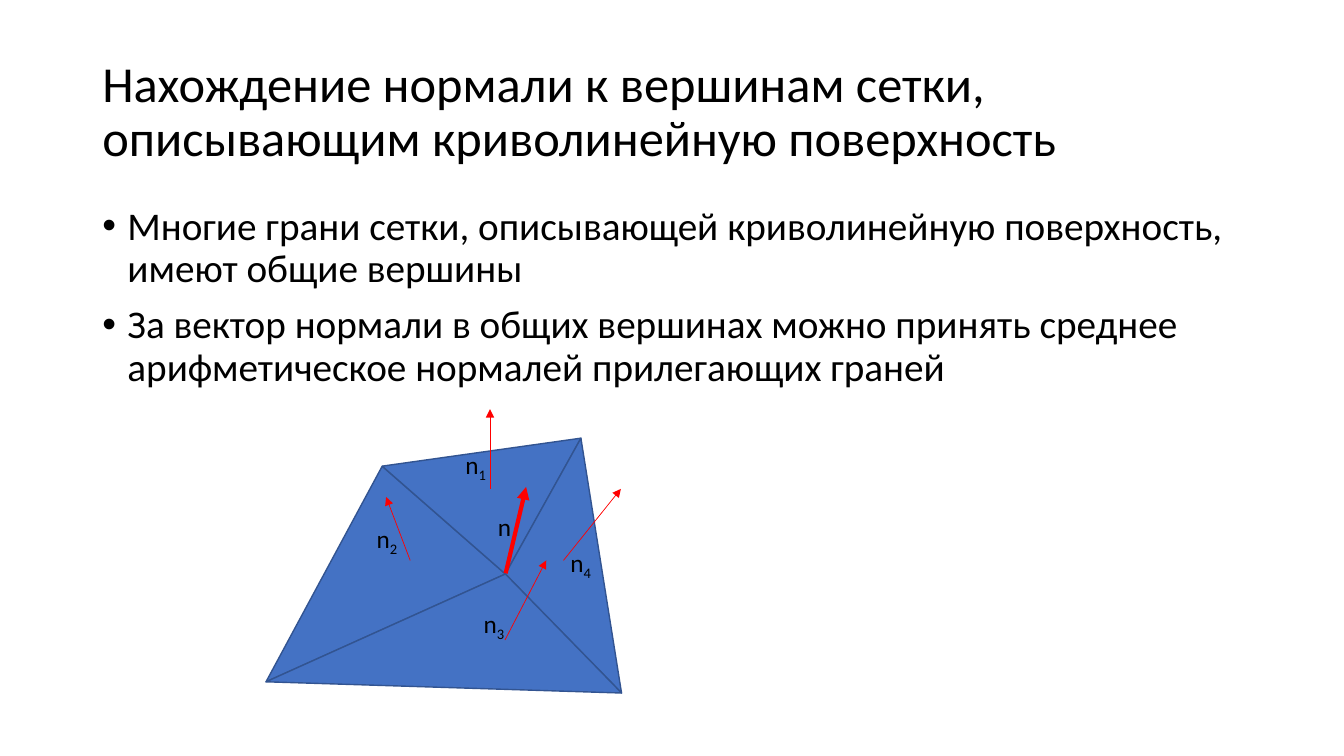
"""Build a slide on finding normals at the vertices of a curved mesh."""
import pptx
import pptx.util
import pptx.dml.color
import pptx.enum.shapes
import pptx.enum.text
import pptx.oxml.ns
import lxml.etree

Pt = pptx.util.Pt
qn = pptx.oxml.ns.qn
BLACK = pptx.dml.color.RGBColor(0x00, 0x00, 0x00)
BLUE = pptx.dml.color.RGBColor(0x44, 0x72, 0xC4)
NAVY = pptx.dml.color.RGBColor(0x32, 0x54, 0x91)
RED = pptx.dml.color.RGBColor(0xFF, 0x00, 0x00)


def add_text(left, top, width, height, lines, size, wrap=True):
    box = slide.shapes.add_textbox(Pt(left), Pt(top), Pt(width), Pt(height))
    frame = box.text_frame
    frame.word_wrap = wrap
    frame.text = "\n".join(lines)
    for para in frame.paragraphs:
        for run in para.runs:
            run.font.name = "Calibri"
            run.font.size = Pt(size)
            run.font.color.rgb = BLACK
    return frame


deck = pptx.Presentation()
deck.slide_width = Pt(960)
deck.slide_height = Pt(540)
slide = deck.slides.add_slide(deck.slide_layouts[6])

title = add_text(66, 28.75, 828, 104.4, [
    "Нахождение нормали к вершинам сетки, описывающим криволинейную поверхность",
], 36)
title.vertical_anchor = pptx.enum.text.MSO_ANCHOR.MIDDLE
title.paragraphs[0].line_spacing = 0.9

body = add_text(66, 143.75, 828, 342.6, [
    "Многие грани сетки, описывающей криволинейную поверхность, имеют общие вершины",
    "За вектор нормали в общих вершинах можно принять среднее арифметическое "
    "нормалей прилегающих граней",
], 28)
for index, para in enumerate(body.paragraphs):
    para.line_spacing = 0.9
    para.space_before = Pt(10 * index)
    props = para._p.get_or_add_pPr()
    props.set("marL", str(Pt(18)))
    props.set("indent", str(-Pt(18)))
    lxml.etree.SubElement(props, qn("a:buFont")).set("typeface", "Arial")
    lxml.etree.SubElement(props, qn("a:buChar")).set("char", "•")

center = (361.2, 409.5)
corners = [(190.5, 487), (273.3, 332.7), (415, 313.4), (443.5, 495.4)]
for index, corner in enumerate(corners):
    after = corners[(index + 1) % len(corners)]
    builder = slide.shapes.build_freeform(*corner, scale=Pt(1))
    builder.add_line_segments([after, center], close=True)
    face = builder.convert_to_shape()
    face.shadow.inherit = False
    face.fill.solid()
    face.fill.fore_color.rgb = BLUE
    face.line.color.rgb = NAVY
    face.line.width = Pt(1)

normals = [
    ((350, 349.2), (350, 292.3), 0.5),
    ((293, 400.3), (275.8, 355), 0.5),
    ((402.5, 400.3), (443.5, 349.2), 0.5),
    ((360.7, 457.2), (390.2, 400.3), 0.5),
    (center, (375.8, 347.8), 3),
]
for start, end, weight in normals:
    arrow = slide.shapes.add_connector(
        pptx.enum.shapes.MSO_CONNECTOR.STRAIGHT, *map(Pt, start + end))
    arrow.line.color.rgb = RED
    arrow.line.width = Pt(weight)
    tip = lxml.etree.SubElement(arrow.line._get_or_add_ln(), qn("a:tailEnd"))
    tip.set("type", "triangle")
    lxml.etree.SubElement(arrow._element.spPr, qn("a:effectLst"))

add_text(348.5, 361.4, 22.3, 29, ["n"], 18, False)
labels = [(325.4, 317.5), (262, 370), (338.4, 430.6), (400.3, 387.4)]
for number, (left, top) in enumerate(labels, 1):
    para = add_text(left, top, 33.8, 29, ["n"], 18, False).paragraphs[0]
    run = para.add_run()
    run.text = str(number)
    run.font.name = "Calibri"
    run.font.size = Pt(18)
    run.font.color.rgb = BLACK
    run._r.get_or_add_rPr().set("baseline", "-25000")

deck.save("out.pptx")
